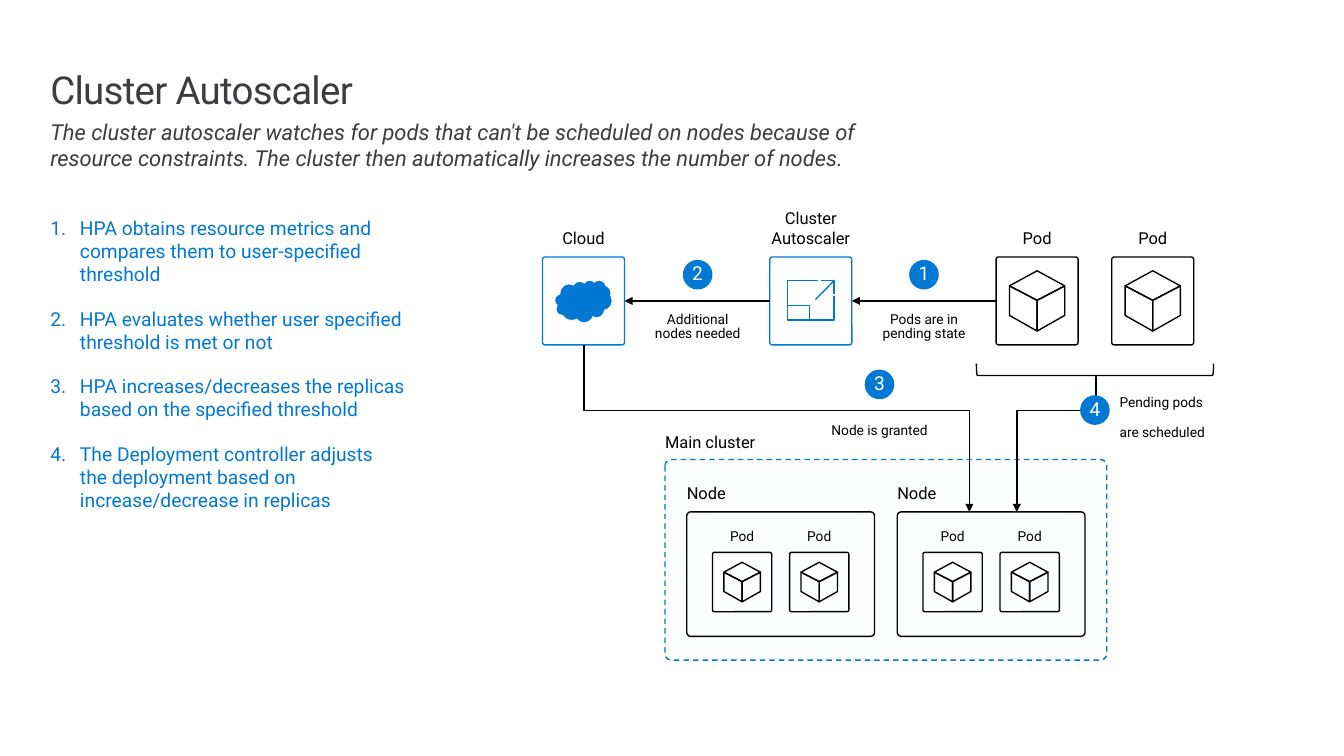
from lxml.etree import SubElement
from pptx import Presentation
from pptx.dml.color import RGBColor
from pptx.enum.dml import MSO_LINE
from pptx.enum.shapes import MSO_CONNECTOR, MSO_SHAPE
from pptx.enum.text import MSO_ANCHOR, PP_ALIGN
from pptx.oxml.ns import qn
from pptx.util import Inches, Pt

COLORS = {"blue": "0078D4", "gray": "3C3C41", "black": "000000", "white": "FFFFFF", "cluster": "FCFDFE"}
FONT = "Roboto"
STEPS = [
    "HPA obtains resource metrics and compares them to user-specified threshold",
    "HPA evaluates whether user specified threshold is met or not",
    "HPA increases/decreases the replicas based on the specified threshold",
    "The Deployment controller adjusts\vthe deployment based on increase/decrease in replicas",
]
CARD_WIDTH, CARD_HEIGHT, CARD_TOP = 0.83, 0.89, 2.6
# Corners of a cube's three visible faces, as fractions of its box
CUBE_FACES = [
    [(1, 0.25), (1, 0.74), (0.5, 1), (0.5, 0.49)],
    [(0, 0.25), (0.5, 0.49), (0.5, 1), (0, 0.74)],
    [(0.5, 0), (1, 0.25), (0.5, 0.49), (0, 0.25)],
]
SCALE_ICON_STROKES = [
    [(0.72, 0), (1, 0), (1, 0.33)],
    [(1, 0), (0.6, 0.48)],
    [(0.66, 0), (0, 0), (0, 1), (1, 1), (1, 0.4)],
    [(0.47, 1), (0.47, 0.63), (0, 0.63)],
]


def rgb(color):
    return RGBColor.from_string(COLORS[color])


def format_text(text_frame, text, size, color, align=PP_ALIGN.LEFT, anchor=MSO_ANCHOR.TOP, wrap=True):
    """Fill a frame without margins; a line feed starts a paragraph, a vertical tab a line."""
    text_frame.margin_left = text_frame.margin_right = 0
    text_frame.margin_top = text_frame.margin_bottom = 0
    text_frame.word_wrap = wrap
    text_frame.vertical_anchor = anchor
    text_frame.text = text
    for paragraph in text_frame.paragraphs:
        paragraph.alignment = align
        for run in paragraph.runs:
            run.font.name, run.font.size = FONT, Pt(size)
            run.font.color.rgb = rgb(color)


def add_text(slide, left, top, width, height, text, size, color="black", **options):
    box = slide.shapes.add_textbox(Inches(left), Inches(top), Inches(width), Inches(height))
    format_text(box.text_frame, text, size, color, **options)
    return box.text_frame


def style_shape(shape, line=None, fill=None):
    shape.shadow.inherit = False
    if fill:
        shape.fill.solid()
        shape.fill.fore_color.rgb = rgb(fill)
    else:
        shape.fill.background()
    if line:
        shape.line.color.rgb = rgb(line)
        shape.line.width = Pt(1)
    else:
        shape.line.fill.background()


def add_preset(slide, kind, left, top, width, height, line=None, fill=None):
    shape = slide.shapes.add_shape(kind, Inches(left), Inches(top), Inches(width), Inches(height))
    style_shape(shape, line, fill)
    return shape


def add_frame(slide, left, top, width, height, line="black", fill=None):
    frame = add_preset(slide, MSO_SHAPE.ROUNDED_RECTANGLE, left, top, width, height, line, fill)
    frame.adjustments[0] = 0.031
    return frame


def add_outline(slide, left, top, width, height, contours, color, close):
    """Draw contours given as fractions of the box."""
    scaled = [[(Inches(left + x * width), Inches(top + y * height)) for x, y in contour]
              for contour in contours]
    builder = slide.shapes.build_freeform(*scaled[0][0], scale=1.0)
    for contour in scaled:
        builder.move_to(*contour[0])
        builder.add_line_segments(contour[1:], close=close)
    style_shape(builder.convert_to_shape(), color)


def add_label(slide, center, bottom, text, size=12):
    height = 0.2 * len(text.split("\v"))
    add_text(slide, center - 0.65, bottom - height, 1.3, height, text, size,
             align=PP_ALIGN.CENTER, anchor=MSO_ANCHOR.BOTTOM)


def add_heading(slide, text, left, bottom):
    add_text(slide, left, bottom - 0.2, 1.3, 0.2, text, 12, anchor=MSO_ANCHOR.BOTTOM)


def add_card(slide, left, label, line):
    add_label(slide, left + CARD_WIDTH / 2, CARD_TOP - 0.09, label)
    return add_frame(slide, left, CARD_TOP, CARD_WIDTH, CARD_HEIGHT, line)


def add_cube(slide, center_x, center_y, width, height):
    add_outline(slide, center_x - width / 2, center_y - height / 2, width, height, CUBE_FACES, "black", True)


def add_pending_pod(slide, left):
    card = add_card(slide, left, "Pod", "black")
    add_cube(slide, left + CARD_WIDTH / 2, CARD_TOP + CARD_HEIGHT / 2, 0.56, 0.61)
    return card


def add_node(slide, left, top):
    add_frame(slide, left, top, 1.9, 1.26)
    add_heading(slide, "Node", left, top - 0.09)
    for pod_left in (left + 0.26, left + 1.04):
        pod_top = top + 0.41
        add_label(slide, pod_left + 0.3, pod_top - 0.08, "Pod", 10)
        add_frame(slide, pod_left, pod_top, 0.6, 0.6)
        add_cube(slide, pod_left + 0.3, pod_top + 0.3, 0.37, 0.4)


def add_cluster(slide, left, top, width, height):
    cluster = add_frame(slide, left, top, width, height, "blue", "cluster")
    cluster.line.dash_style = MSO_LINE.DASH
    add_heading(slide, "Main cluster", left, top - 0.08)
    for column in range(2):
        add_node(slide, left + 0.22 + 2.13 * column, top + 0.53)


def add_arrow(slide, kind, start, end):
    arrow = slide.shapes.add_connector(kind, *(Inches(value) for value in start + end))
    arrow.line.color.rgb = rgb("black")
    arrow.line.width = Pt(1)
    properties = arrow._element.spPr
    SubElement(properties.find(qn("a:ln")), qn("a:tailEnd"), type="triangle")
    SubElement(properties, qn("a:effectLst"))
    return arrow


def join_cards(slide, source, target):
    arrow = add_arrow(slide, MSO_CONNECTOR.STRAIGHT, (0, 0), (1, 0))
    arrow.begin_connect(source, 1)
    arrow.end_connect(target, 3)


def add_down_elbow(slide, start, end, bend):
    """Go down to the height of the bend, sideways, then down to the end."""
    arrow = add_arrow(slide, MSO_CONNECTOR.ELBOW, start, end)
    (x1, y1), (x2, y2) = start, end
    length, breadth = y2 - y1, abs(x2 - x1)
    arrow.left = Inches((x1 + x2 - length) / 2)
    arrow.top = Inches((y1 + y2 - breadth) / 2)
    arrow.width, arrow.height = Inches(length), Inches(breadth)
    transform = arrow._element.spPr.find(qn("a:xfrm"))
    transform.set("rot", str(270 * 60000))
    transform.set("flipH", "1")
    transform.set("flipV", "1" if x2 < x1 else "0")
    geometry = arrow._element.spPr.find(qn("a:prstGeom"))
    adjustments = geometry.find(qn("a:avLst"))
    if adjustments is None:
        adjustments = SubElement(geometry, qn("a:avLst"))
    SubElement(adjustments, qn("a:gd"), name="adj1", fmla=f"val {round((bend - y1) / length * 100000)}")


def add_badge(slide, number, center, top):
    badge = add_preset(slide, MSO_SHAPE.OVAL, center - 0.15, top, 0.3, 0.3, fill="blue")
    format_text(badge.text_frame, str(number), 14, "white", PP_ALIGN.CENTER, MSO_ANCHOR.MIDDLE, False)
    badge.text_frame.paragraphs[0].line_spacing = 0.9


def add_step(slide, number, center, top, caption, caption_top):
    add_badge(slide, number, center, top)
    frame = add_text(slide, center - 0.54, caption_top, 1.08, 0.31, caption, 10, align=PP_ALIGN.CENTER)
    frame.paragraphs[0].line_spacing = 0.9


def add_title_block(slide, left, top):
    title = add_text(slide, left, top, 12.9, 0.45, "Cluster Autoscaler", 28, "gray").paragraphs[0]
    title.line_spacing = Pt(32)
    title.runs[0].font._element.set("spc", "-50")
    summary = add_text(
        slide, left, top + 0.51, 11.8, 0.54,
        "The cluster autoscaler watches for pods that can't be scheduled on nodes because of\v"
        "resource constraints. The cluster then automatically increases the number of nodes.", 16, "gray")
    for run in summary.paragraphs[0].runs:
        run.font.italic = True


def add_step_list(slide, left, top, width, height):
    frame = add_text(slide, left, top, width, height, "\n".join(STEPS), 14, "blue")
    for paragraph in frame.paragraphs:
        paragraph.space_after = Pt(15.5)
        properties = paragraph._p.get_or_add_pPr()
        properties.set("marL", str(Inches(0.3)))
        properties.set("indent", str(-Inches(0.3)))
        SubElement(properties, qn("a:buFont"), typeface=FONT)
        SubElement(properties, qn("a:buAutoNum"), type="arabicPeriod")


def add_diagram(slide, left, top):
    """Draw the scaling flow from the cloud card's top left corner."""
    cloud = add_card(slide, left, "Cloud", "blue")
    add_preset(slide, MSO_SHAPE.CLOUD, left + 0.13, top + 0.24, 0.57, 0.42, fill="blue")
    autoscaler = add_card(slide, left + 2.3, "Cluster\vAutoscaler", "blue")
    add_outline(slide, left + 2.48, top + 0.24, 0.47, 0.4, SCALE_ICON_STROKES, "blue", False)
    pod = add_pending_pod(slide, left + 4.59)
    add_pending_pod(slide, left + 5.76)
    add_cluster(slide, left + 1.24, top + 2.05, 4.47, 2.03)
    bracket = add_preset(slide, MSO_SHAPE.RIGHT_BRACKET, left + 5.53, top - 0.06, 0.12, 2.4, "black")
    bracket.rotation = 90

    join_cards(slide, pod, autoscaler)
    join_cards(slide, autoscaler, cloud)
    bend, node_top = top + 1.55, top + 2.58
    add_down_elbow(slide, (left + 5.6, top + 1.2), (left + 4.8, node_top), bend)
    add_down_elbow(slide, (left + 0.42, top + 0.89), (left + 4.32, node_top), bend)

    add_step(slide, 1, left + 3.86, top + 0.03, "Pods are in\vpending state", top + 0.56)
    add_step(slide, 2, left + 1.57, top + 0.03, "Additional\vnodes needed", top + 0.56)
    add_step(slide, 3, left + 3.41, top + 1.14, "Node is granted", top + 1.69)
    add_badge(slide, 4, left + 5.59, top + 1.4)
    scheduled = add_text(slide, left + 5.84, top + 1.4, 0.87, 0.45, "Pending pods\nare scheduled", 10, wrap=False)
    for paragraph in scheduled.paragraphs:
        paragraph.line_spacing, paragraph.space_after = 0.9, Pt(11)


def main():
    presentation = Presentation()
    presentation.slide_width, presentation.slide_height = Inches(13.6), Inches(7.65)
    slide = presentation.slides.add_slide(presentation.slide_layouts[6])
    add_title_block(slide, 0.51, 0.69)
    add_step_list(slide, 0.51, 2.19, 3.7, 2.99)
    add_diagram(slide, 5.49, CARD_TOP)
    presentation.save("out.pptx")


if __name__ == "__main__":
    main()
